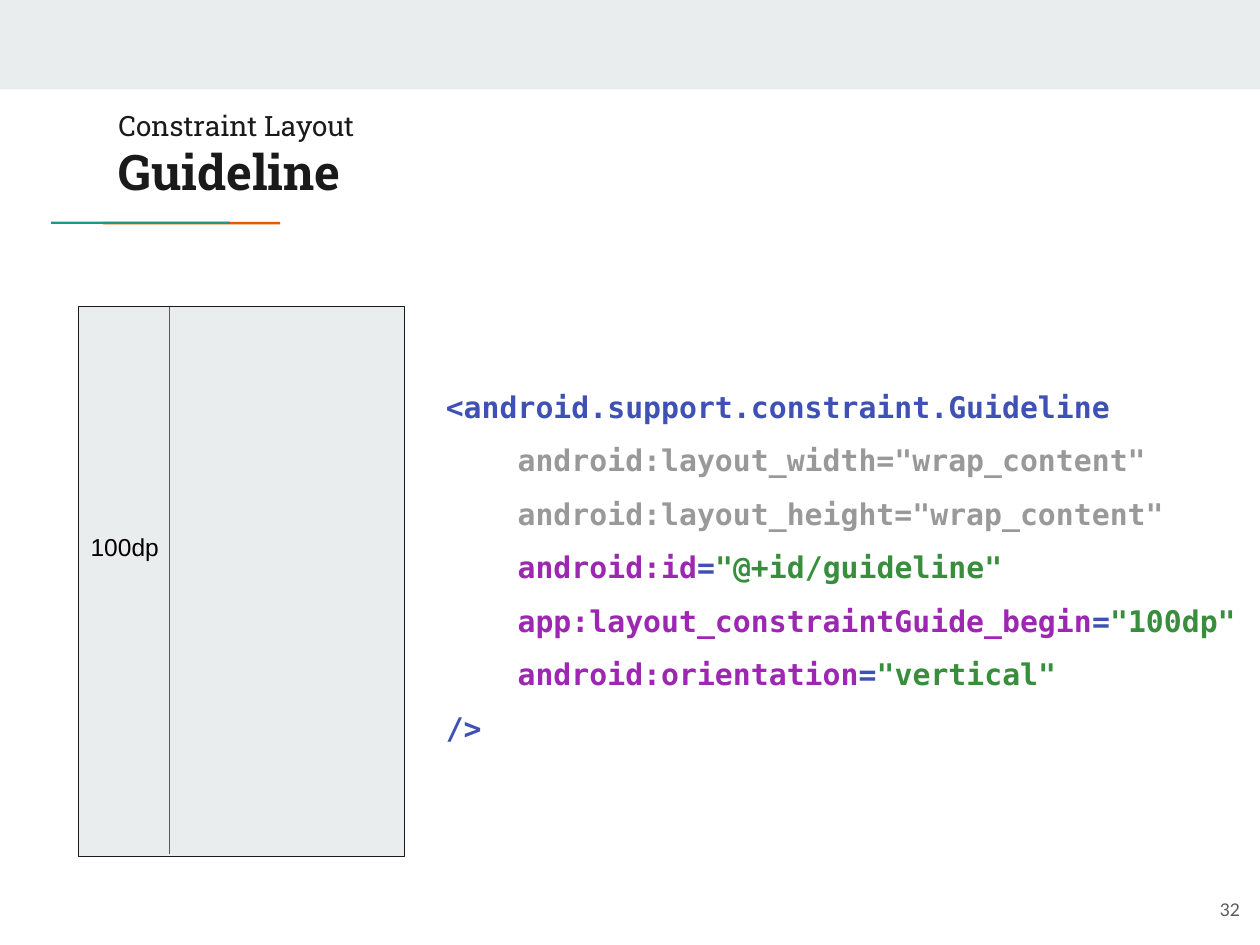
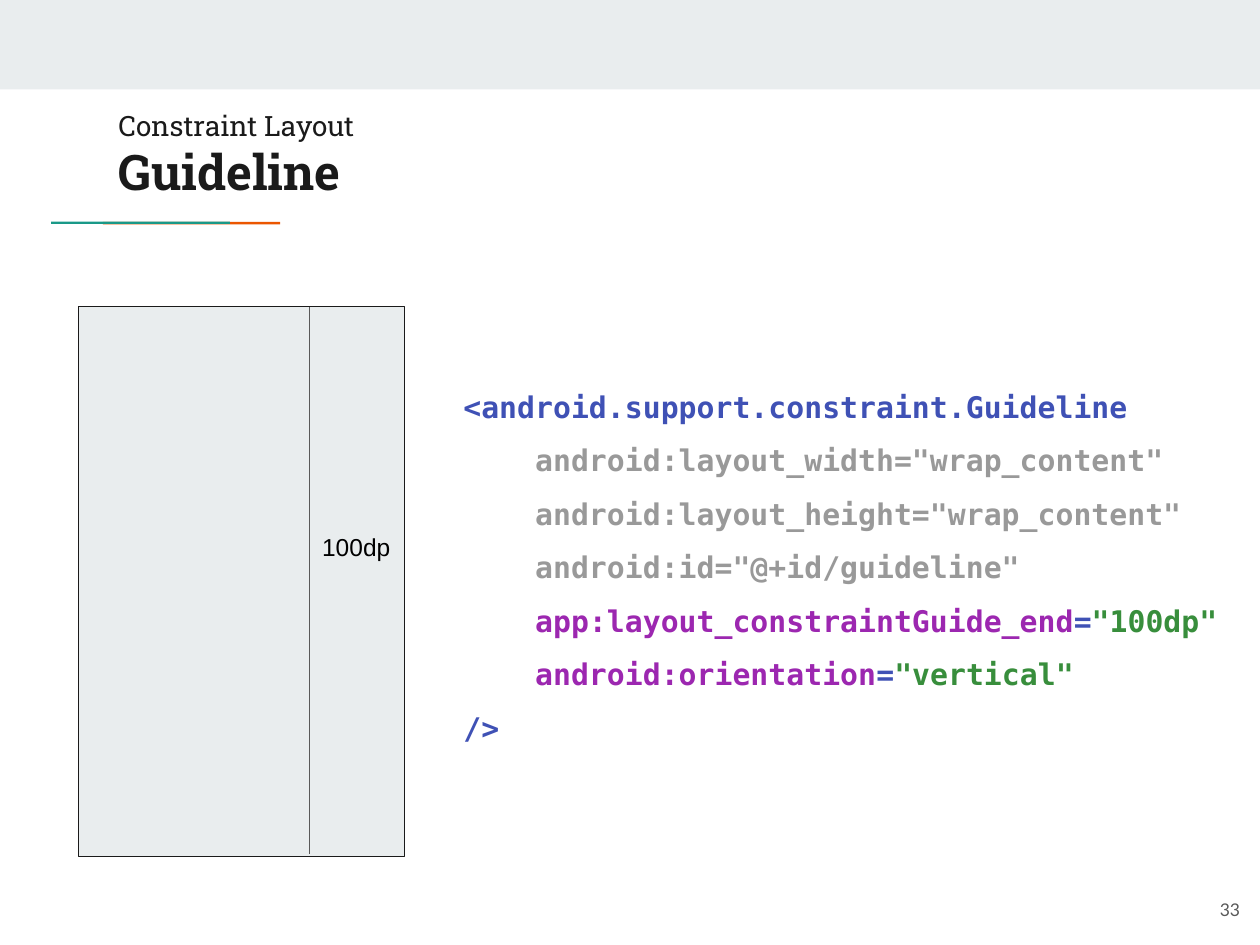
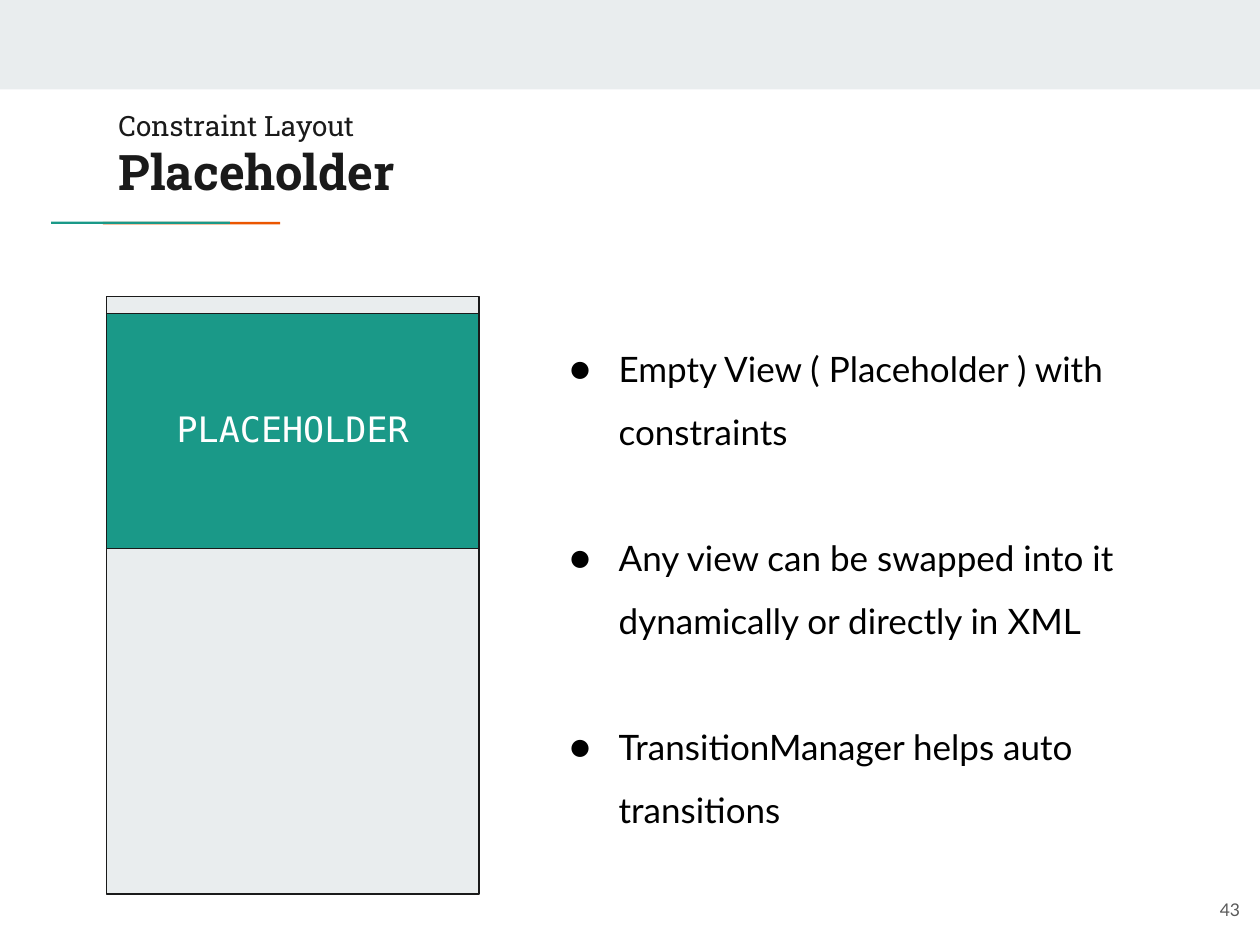
from dataclasses import dataclass

from lxml.etree import SubElement
from pptx import Presentation
from pptx.dml.color import RGBColor
from pptx.enum.shapes import MSO_CONNECTOR, MSO_SHAPE
from pptx.enum.text import MSO_ANCHOR, MSO_AUTO_SIZE, PP_ALIGN
from pptx.oxml.ns import qn
from pptx.util import Pt


@dataclass(frozen=True)
class Theme:
    ink: str = "1A1A1A"
    black: str = "000000"
    white: str = "FFFFFF"
    gray: str = "595959"
    pale: str = "E9EDEE"
    teal: str = "1A9988"
    orange: str = "EB5600"
    tag: str = "3F51B5"
    muted: str = "999999"
    attribute: str = "9C27B0"
    value: str = "388E3C"
    heading_font: str = "Roboto Slab"
    body_font: str = "Lato"
    code_font: str = "DejaVu Sans Mono"
    label_font: str = "Arial"
    heading_size: float = 28
    kicker_size: float = 16
    body_size: float = 20
    code_size: float = 17
    label_size: float = 14
    number_size: float = 10
    inset: float = 7.2
    hairline: float = 0.75


THEME = Theme()
TITLE_BOX = (60.5, 54.7, 554.4, 95.8)
NUMBER_BOX = (672.5, 499, 43.2, 41)
SCREEN = (44.7, 175, 186.5, 314.6)
LABEL_WIDTH = 54.7


def write(paragraph, text, *, font, size, color, bold=False):
    run = paragraph.add_run()
    run.text = text
    run.font.name = font
    run.font.size = Pt(size)
    run.font.bold = bold
    run.font.color.rgb = RGBColor.from_string(color)


class Deck:
    def __init__(self, theme):
        self.theme = theme
        self.presentation = Presentation()
        self.presentation.slide_width = Pt(720)
        self.presentation.slide_height = Pt(540)
        self.slide = None

    def open_slide(self, heading, number, layout="Title Only"):
        first = self.slide is None
        layouts = self.presentation.slide_layouts
        self.slide = self.presentation.slides.add_slide(layouts.get_by_name(layout))
        if first:
            self.share_decoration()
        theme = self.theme
        title = self.slide.shapes.title
        frame = self.place(title, TITLE_BOX)
        lines = ((theme.kicker_size, "Constraint Layout", False), (theme.heading_size, heading, True))
        frame.text = "\n"
        for paragraph, (size, text, bold) in zip(frame.paragraphs, lines):
            paragraph.alignment = PP_ALIGN.LEFT
            write(paragraph, text, font=theme.heading_font, size=size, color=theme.ink, bold=bold)
        self.label(str(number), NUMBER_BOX, align=PP_ALIGN.RIGHT, anchor=MSO_ANCHOR.MIDDLE,
                   font=theme.body_font, size=theme.number_size, color=theme.gray)

    def share_decoration(self):
        theme = self.theme
        master = self.presentation.slide_master.shapes.element
        for box, fill in (((0, 0, 720, 51.2), theme.pale),
                          ((58.8, 126.8, 101.3, 1.4), theme.orange),
                          ((29.2, 126.6, 102.2, 1.4), theme.teal)):
            master.append(self.block(box, fill).element)

    def place(self, holder, box, anchor=MSO_ANCHOR.TOP):
        holder.left, holder.top, holder.width, holder.height = map(Pt, box)
        frame = holder.text_frame
        frame.word_wrap = True
        frame.auto_size = MSO_AUTO_SIZE.NONE
        frame.vertical_anchor = anchor
        inset = Pt(self.theme.inset)
        frame.margin_left = frame.margin_right = inset
        frame.margin_top = frame.margin_bottom = inset
        return frame

    def text_area(self, box, anchor=MSO_ANCHOR.TOP):
        return self.place(self.slide.shapes.add_textbox(*map(Pt, box)), box, anchor)

    def label(self, text, box, align=PP_ALIGN.LEFT, anchor=MSO_ANCHOR.TOP, **style):
        paragraph = self.text_area(box, anchor).paragraphs[0]
        paragraph.alignment = align
        write(paragraph, text, **style)

    def block(self, box, fill, outline=None):
        block = self.slide.shapes.add_shape(MSO_SHAPE.RECTANGLE, *map(Pt, box))
        block.shadow.inherit = False
        block.fill.solid()
        block.fill.fore_color.rgb = RGBColor.from_string(fill)
        if outline:
            block.line.color.rgb = RGBColor.from_string(outline)
            block.line.width = Pt(self.theme.hairline)
        else:
            block.line.fill.background()
        return block

    def vertical_rule(self, x, top, bottom, color):
        rule = self.slide.shapes.add_connector(
            MSO_CONNECTOR.STRAIGHT, Pt(x), Pt(top), Pt(x), Pt(bottom))
        rule.line.color.rgb = RGBColor.from_string(color)
        rule.line.width = Pt(self.theme.hairline)
        SubElement(rule.element.spPr, qn("a:effectLst"))

    def code(self, lines, box):
        paragraph = self.text_area(box).paragraphs[0]
        paragraph.line_spacing = 1.5
        for index, line in enumerate(lines):
            if index:
                paragraph.add_line_break()
            for text, color in line:
                write(paragraph, text, font=self.theme.code_font, size=self.theme.code_size,
                      color=color, bold=True)

    def bullets(self, items, box):
        theme = self.theme
        frame = self.place(self.slide.placeholders[1], box)
        for index, item in enumerate(items):
            paragraph = frame.add_paragraph() if index else frame.paragraphs[0]
            paragraph.line_spacing = 1.5
            paragraph.space_before = Pt(36 if index else 0)
            properties = paragraph._p.get_or_add_pPr()
            properties.set("marL", str(Pt(36)))
            properties.set("indent", str(-Pt(28)))
            SubElement(SubElement(properties, qn("a:buClr")), qn("a:srgbClr"), val=theme.black)
            SubElement(properties, qn("a:buFont"), typeface=theme.body_font)
            SubElement(properties, qn("a:buChar"), char="●")
            write(paragraph, item, font=theme.body_font, size=theme.body_size, color=theme.black)


def assignment(name, value):
    return [("    " + name, THEME.attribute), ("=", THEME.tag), (f'"{value}"', THEME.value)]


def muted_assignment(name, value):
    return [(f'    {name}="{value}"', THEME.muted)]


def guideline_slide(deck, number, edge, id_line, guide_x, label_x, code_left):
    deck.open_slide("Guideline", number)
    deck.code([
        [("<android.support.constraint.Guideline", THEME.tag)],
        muted_assignment("android:layout_width", "wrap_content"),
        muted_assignment("android:layout_height", "wrap_content"),
        id_line("android:id", "@+id/guideline"),
        assignment(f"app:layout_constraintGuide_{edge}", "100dp"),
        assignment("android:orientation", "vertical"),
        [("/>", THEME.tag)],
    ], (code_left, 204.5, 720 - code_left, 285))
    deck.block(SCREEN, THEME.pale, THEME.ink)
    deck.vertical_rule(guide_x, 175.7, 488.2, THEME.gray)
    deck.label("100dp", (label_x, 296.6, LABEL_WIDTH, 36.7), font=THEME.label_font,
               size=THEME.label_size, color=THEME.black)


def placeholder_slide(deck):
    deck.open_slide("Placeholder", 43, layout="Title and Content")
    left, width = 60.8, 213
    deck.block((left, 169.3, width, 341.6), THEME.pale, THEME.ink)
    deck.block((left, 179, width, 134.4), THEME.teal, THEME.ink)
    deck.label("PLACEHOLDER", (left, 225.4, width, 41), align=PP_ALIGN.CENTER,
               font=THEME.code_font, size=THEME.body_size, color=THEME.white)
    deck.bullets([
        "Empty View ( Placeholder ) with constraints",
        "Any view can be swapped into it dynamically or directly in XML",
        "TransitionManager helps auto transitions",
    ], (310.3, 179.3, 347.8, 260.6))


def main():
    deck = Deck(THEME)
    guideline_slide(deck, 32, "begin", assignment, guide_x=97, label_x=44.7, code_left=247.7)
    guideline_slide(deck, 33, "end", muted_assignment, guide_x=177, label_x=177, code_left=257.7)
    placeholder_slide(deck)
    deck.presentation.save("out.pptx")


if __name__ == "__main__":
    main()
